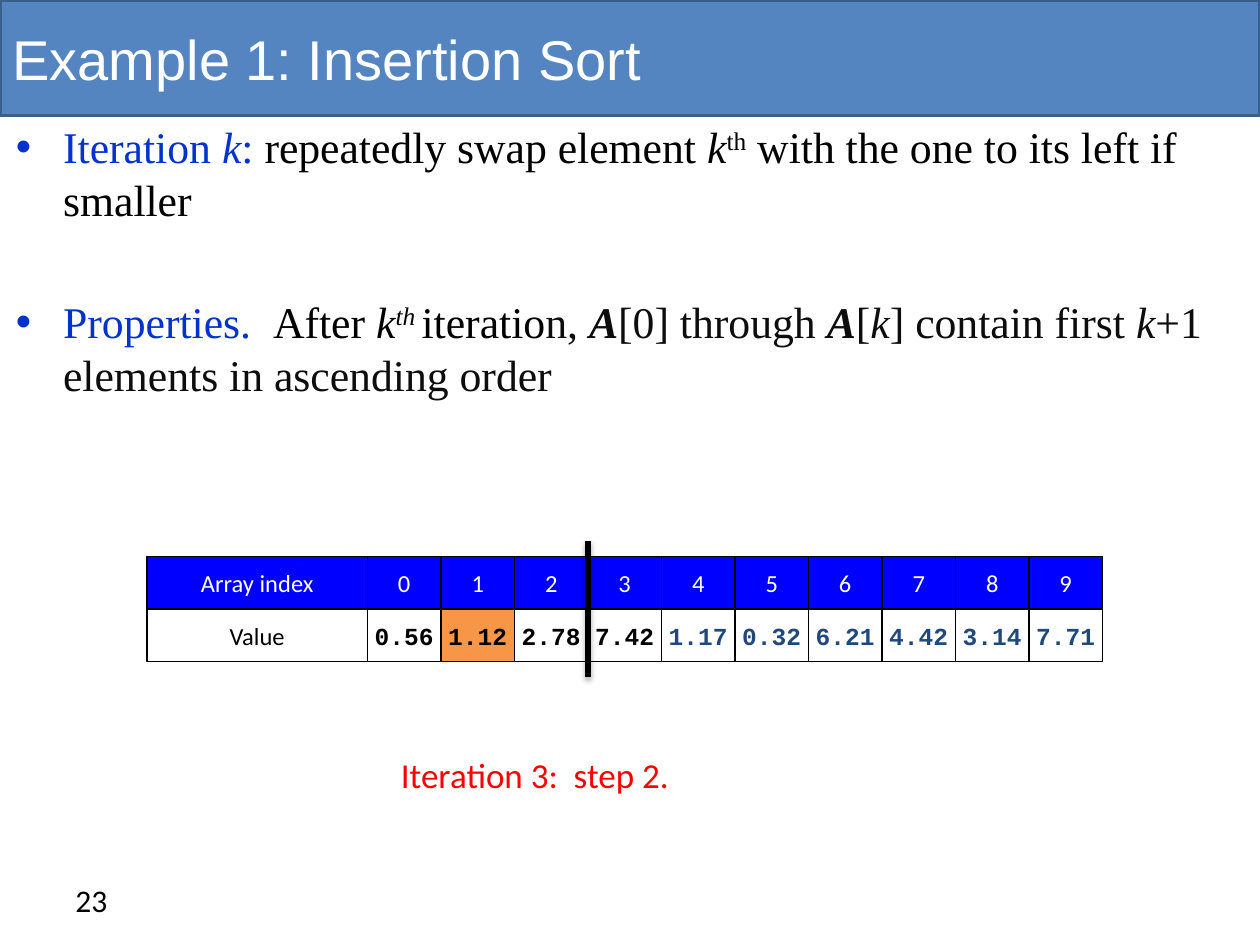
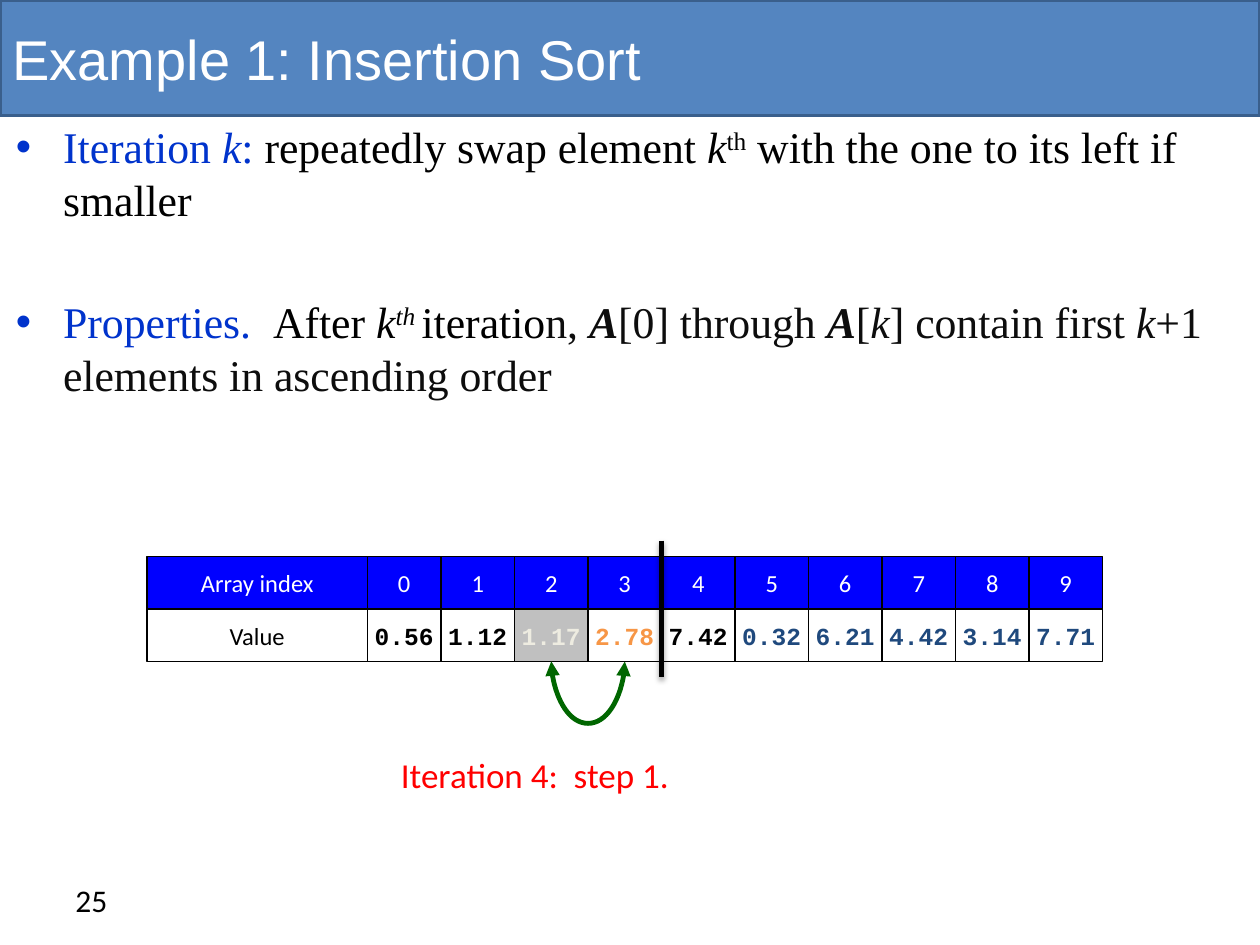
from lxml.etree import SubElement
from pptx import Presentation
from pptx.dml.color import RGBColor
from pptx.enum.shapes import MSO_CONNECTOR as Connector, MSO_SHAPE as Shape
from pptx.enum.text import MSO_ANCHOR as Anchor, PP_ALIGN as Align
from pptx.oxml.ns import qn
from pptx.util import Pt

BLACK = RGBColor(0x00, 0x00, 0x00)
WHITE = RGBColor(0xFF, 0xFF, 0xFF)
NEAR_BLACK = RGBColor(0x0D, 0x0D, 0x0D)
BAND = RGBColor(0x54, 0x85, 0xC0)
BAND_EDGE = RGBColor(0x3A, 0x5F, 0x8C)
HEADER_BLUE = RGBColor(0x00, 0x00, 0xFF)
TERM_BLUE = RGBColor(0x00, 0x33, 0xCC)
UNSORTED = RGBColor(0x1F, 0x49, 0x7D)
ORANGE = RGBColor(0xF7, 0x96, 0x46)
GREY = RGBColor(0xC0, 0xC0, 0xC0)
PALE = RGBColor(0xEE, 0xEC, 0xE1)
GREEN = RGBColor(0x00, 0x66, 0x00)
RED = RGBColor(0xFF, 0x00, 0x00)

TABLE_LEFT, LABEL_WIDTH, CELL_WIDTH = 84, 126, 42
HEADER_TOP, ROW_HEIGHT = 318, 30
VALUES_TOP = HEADER_TOP + ROW_HEIGHT
CELLS_LEFT = TABLE_LEFT + LABEL_WIDTH

# Each run: text, colour, style letters (b bold, i italic, s superscript)
RULES = [
    [("Iteration ", TERM_BLUE, ""), ("k", TERM_BLUE, "i"), (": ", TERM_BLUE, ""),
     ("repeatedly swap element ", BLACK, ""), ("k", BLACK, "i"), ("th", BLACK, "s"),
     (" with the one to its left if smaller", BLACK, "")],
    [("Properties.  ", TERM_BLUE, ""), ("After ", BLACK, ""), ("k", BLACK, "i"),
     ("th ", BLACK, "is"), ("iteratio", BLACK, ""), ("n, ", NEAR_BLACK, ""),
     ("A", NEAR_BLACK, "bi"), ("[0] through ", NEAR_BLACK, ""), ("A", NEAR_BLACK, "bi"),
     ("[", NEAR_BLACK, ""), ("k", NEAR_BLACK, "i"), ("] contain first ", NEAR_BLACK, ""),
     ("k", NEAR_BLACK, "i"), ("+1 elements in ascending order", NEAR_BLACK, "")],
]

STEPS = [
    {"number": 23, "iteration": 3, "step": 2, "swap": None,
     "values": "0.56 1.12 2.78 7.42 1.17 0.32 6.21 4.42 3.14 7.71",
     "highlights": {1: (ORANGE, BLACK)}},
    {"number": 25, "iteration": 4, "step": 1, "swap": (2, 3),
     "values": "0.56 1.12 1.17 2.78 7.42 0.32 6.21 4.42 3.14 7.71",
     "highlights": {2: (GREY, PALE), 3: (WHITE, ORANGE)}},
]


class SortDeck:
    """Draws the insertion sort slides in one shared style."""

    def __init__(self):
        self.presentation = Presentation()
        self.presentation.slide_width, self.presentation.slide_height = Pt(720), Pt(540)
        self.slide = None

    def add_slide(self):
        self.slide = self.presentation.slides.add_slide(self.presentation.slide_layouts[6])

    def style(self, font, name, size, color, bold=False):
        font.name, font.size, font.bold = name, Pt(size), bold
        font.color.rgb = color

    def box(self, text, left, top, width, height, fill, edge, weight):
        shape = self.slide.shapes.add_shape(Shape.RECTANGLE, Pt(left), Pt(top), Pt(width), Pt(height))
        shape.shadow.inherit = False
        shape.fill.solid()
        shape.fill.fore_color.rgb = fill
        shape.line.color.rgb, shape.line.width = edge, Pt(weight)
        shape.text_frame.text = text
        shape.text_frame.vertical_anchor = Anchor.MIDDLE
        return shape.text_frame

    def title(self, text):
        frame = self.box(text, 0, 0, 720, 66, BAND, BAND_EDGE, 2)
        frame.paragraphs[0].alignment = Align.LEFT
        self.style(frame.paragraphs[0].runs[0].font, "Arial", 32, WHITE)

    def cell(self, text, left, top, width, fill, color, name="Calibri", bold=False):
        frame = self.box(text, left, top, width, ROW_HEIGHT, fill, BLACK, 0.75)
        frame.word_wrap = False
        frame.paragraphs[0].alignment = Align.CENTER
        self.style(frame.paragraphs[0].runs[0].font, name, 14, color, bold)

    def text_frame(self, left, top, width, height):
        frame = self.slide.shapes.add_textbox(Pt(left), Pt(top), Pt(width), Pt(height)).text_frame
        frame.word_wrap = True
        return frame

    def label(self, text, left, top, width, height, size, color):
        frame = self.text_frame(left, top, width, height)
        frame.text = text
        self.style(frame.paragraphs[0].runs[0].font, "Calibri", size, color)

    def bullets(self, items):
        frame = self.text_frame(2, 65, 726, 181)
        for position, runs in enumerate(items):
            paragraph = frame.add_paragraph() if position else frame.paragraphs[0]
            properties = paragraph._p.get_or_add_pPr()
            properties.set("marL", str(Pt(27)))
            properties.set("indent", str(-Pt(27)))
            bullet_color = SubElement(properties, qn("a:buClr"))
            SubElement(bullet_color, qn("a:srgbClr"), val=str(TERM_BLUE))
            SubElement(properties, qn("a:buFont"), typeface="Arial")
            SubElement(properties, qn("a:buChar"), char="•")
            paragraph.line_spacing = Pt(30)
            if position:
                paragraph.space_before = Pt(40)
            for text, color, letters in runs:
                run = paragraph.add_run()
                run.text = text
                self.style(run.font, "Times New Roman", 25, color, "b" in letters)
                run.font.italic = "i" in letters
                if "s" in letters:
                    run.font._element.set("baseline", "30000")

    def array(self, values, iteration, highlights):
        self.cell("Array index", TABLE_LEFT, HEADER_TOP, LABEL_WIDTH, HEADER_BLUE, WHITE)
        self.cell("Value", TABLE_LEFT, VALUES_TOP, LABEL_WIDTH, WHITE, BLACK)
        for index, value in enumerate(values):
            left = CELLS_LEFT + index * CELL_WIDTH
            plain = (WHITE, BLACK if index <= iteration else UNSORTED)
            fill, color = highlights.get(index, plain)
            self.cell(str(index), left, HEADER_TOP, CELL_WIDTH, HEADER_BLUE, WHITE)
            self.cell(value, left, VALUES_TOP, CELL_WIDTH, fill, color, "Courier New", True)

    def connector(self, kind, start, end, color, weight):
        connector = self.slide.shapes.add_connector(kind, *map(Pt, start + end))
        connector.line.color.rgb, connector.line.width = color, Pt(weight)
        effects = SubElement(connector.element.spPr, qn("a:effectLst"))
        return connector, effects

    def divider(self, iteration):
        x = CELLS_LEFT + iteration * CELL_WIDTH
        _, effects = self.connector(Connector.STRAIGHT, (x, 309), (x, 387), BLACK, 3)
        shadow = SubElement(effects, qn("a:outerShdw"), blurRad=str(Pt(3.1)),
                            dist=str(Pt(1.8)), dir="5400000", rotWithShape="0")
        shadow_color = SubElement(shadow, qn("a:srgbClr"), val=str(BLACK))
        SubElement(shadow_color, qn("a:alpha"), val="35000")

    def swap_arrow(self, first, second):
        start, end = (CELLS_LEFT + (index + 0.5) * CELL_WIDTH for index in (first, second))
        middle, span, bottom = (start + end) / 2, end - start, VALUES_TOP + ROW_HEIGHT
        depth, thickness = 37.5, 0.12
        arrow, _ = self.connector(Connector.CURVE, (middle, bottom - span / 2),
                                  (middle + thickness, bottom + span / 2), GREEN, 2.75)
        properties = arrow.element.spPr
        transform = properties.find(qn("a:xfrm"))
        transform.set("rot", "16200000")
        transform.set("flipH", "1")
        adjustments = properties.find(qn("a:prstGeom")).find(qn("a:avLst"))
        SubElement(adjustments, qn("a:gd"), name="adj1",
                   fmla=f"val {round(depth / thickness * 100000)}")
        line = properties.find(qn("a:ln"))
        for end_name in ("a:headEnd", "a:tailEnd"):
            SubElement(line, qn(end_name), type="triangle")


def main():
    deck = SortDeck()
    for step in STEPS:
        deck.add_slide()
        deck.title("Example 1: Insertion Sort")
        deck.label(str(step["number"]), 36, 500, 168, 29, 18, BLACK)
        deck.array(step["values"].split(), step["iteration"], step["highlights"])
        caption = f"Iteration {step['iteration']}:  step {step['step']}."
        deck.label(caption, 222, 427, 294, 32, 20, RED)
        if step["swap"]:
            deck.swap_arrow(*step["swap"])
        deck.bullets(RULES)
        deck.divider(step["iteration"])
    deck.presentation.save("out.pptx")


if __name__ == "__main__":
    main()
